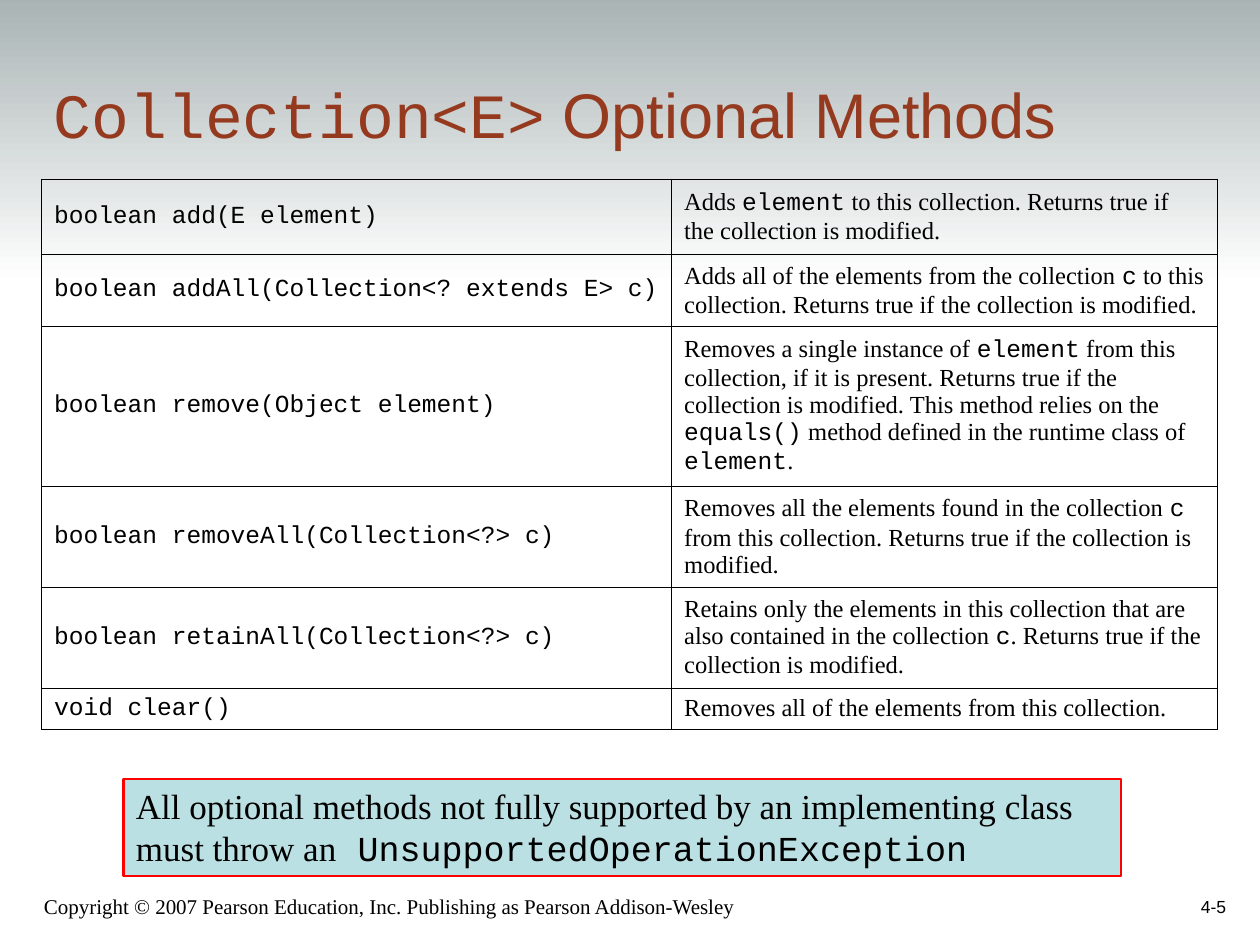
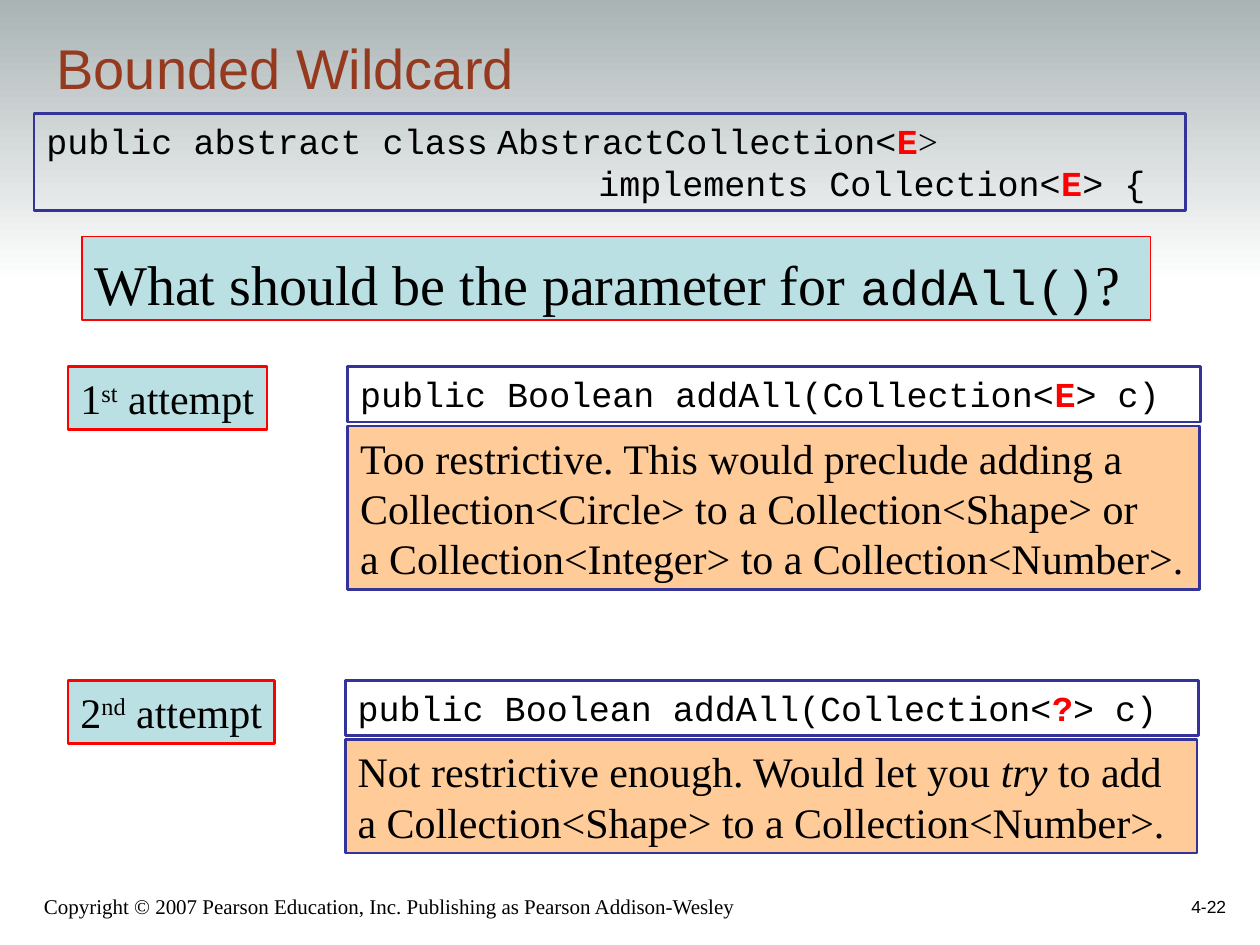
"""Build two slides on optional collection methods and bounded wildcards."""
from dataclasses import dataclass
from typing import NamedTuple, Optional

from lxml.etree import SubElement
from pptx import Presentation
from pptx.dml.color import RGBColor
from pptx.enum.shapes import MSO_SHAPE
from pptx.enum.text import MSO_ANCHOR, MSO_AUTO_SIZE, PP_ALIGN
from pptx.oxml.ns import qn
from pptx.slide import Slide
from pptx.table import _Cell
from pptx.text.text import TextFrame, _Paragraph
from pptx.util import Inches, Pt

COLORS = {
    "black": "000000",
    "white": "FFFFFF",
    "band": "A7B1B2",
    "title": "953A1F",
    "red": "FF0000",
    "navy": "333399",
    "aqua": "BBE0E3",
    "peach": "FFCC99",
}
SERIF, SANS, MONO = "Times New Roman", "Arial", "Courier New"
COPYRIGHT = "Copyright © 2007 Pearson Education, Inc. Publishing as Pearson Addison-Wesley"


class Span(NamedTuple):
    text: str
    font: Optional[str] = None
    size: Optional[float] = None
    color: Optional[str] = None
    bold: Optional[bool] = None
    italic: Optional[bool] = None
    raised: bool = False


class Line(NamedTuple):
    spans: list[Span]
    indent: float = 0


@dataclass
class Box:
    left: float
    top: float
    width: float
    height: float
    lines: list[Line]
    font: str
    size: float
    color: str = "black"
    fill: Optional[str] = None
    border: Optional[str] = None
    border_width: float = 1.5
    anchor: MSO_ANCHOR = MSO_ANCHOR.TOP
    align: PP_ALIGN = PP_ALIGN.LEFT
    wrap: bool = True
    grow: bool = False
    inset_top: float = 0.05
    inset_right: float = 0.1


class Method(NamedTuple):
    signature: str
    description: list[Span]
    height: float


class Attempt(NamedTuple):
    number: str
    ordinal: str
    label_width: float
    left: float
    top: float
    type_argument: str
    verdict: list[Line]
    verdict_height: float


def rgb(name: str) -> RGBColor:
    return RGBColor.from_string(COLORS[name])


def line(*texts: str) -> Line:
    return Line([Span(text) for text in texts])


def prose_and_code(*texts: str) -> list[Span]:
    return [Span(text, (SERIF, MONO)[index % 2]) for index, text in enumerate(texts)]


def write_line(para: _Paragraph, content: Line, font: str, size: float, color: str,
               align: PP_ALIGN = PP_ALIGN.LEFT) -> None:
    para.alignment = align
    if content.indent:
        para._p.get_or_add_pPr().set("marL", str(Inches(content.indent)))
    para.font.name = font
    para.font.size = Pt(size)
    para.font.color.rgb = rgb(color)
    for part in content.spans:
        span = para.add_run()
        span.text = part.text
        if part.font:
            span.font.name = part.font
        if part.size:
            span.font.size = Pt(part.size)
        if part.color:
            span.font.color.rgb = rgb(part.color)
        if part.bold:
            span.font.bold = True
        if part.italic:
            span.font.italic = True
        if part.raised:
            span._r.get_or_add_rPr().set("baseline", "30000")


def write_lines(frame: TextFrame, box: Box) -> None:
    for index, content in enumerate(box.lines):
        para = frame.add_paragraph() if index else frame.paragraphs[0]
        write_line(para, content, box.font, box.size, box.color, box.align)


def draw_box(page: Slide, box: Box) -> None:
    place = [Inches(side) for side in (box.left, box.top, box.width, box.height)]
    if box.border:
        shape = page.shapes.add_shape(MSO_SHAPE.RECTANGLE, *place)
        shape.shadow.inherit = False
        shape.line.color.rgb = rgb(box.border)
        shape.line.width = Pt(box.border_width)
        if box.fill:
            shape.fill.solid()
            shape.fill.fore_color.rgb = rgb(box.fill)
        else:
            shape.fill.background()
    else:
        shape = page.shapes.add_textbox(*place)
    frame = shape.text_frame
    frame.word_wrap = box.wrap
    frame.auto_size = MSO_AUTO_SIZE.SHAPE_TO_FIT_TEXT if box.grow else MSO_AUTO_SIZE.NONE
    frame.vertical_anchor = box.anchor
    frame.margin_left = Inches(0.1)
    frame.margin_right = Inches(box.inset_right)
    frame.margin_top = Inches(box.inset_top)
    frame.margin_bottom = Inches(0.05)
    write_lines(frame, box)


def draw_frame(page: Slide, number: str, title: Box) -> None:
    band = page.shapes.add_shape(MSO_SHAPE.RECTANGLE, 0, Inches(-0.08), Inches(10), Inches(2.33))
    band.shadow.inherit = False
    band.line.fill.background()
    band.fill.gradient()
    band.fill.gradient_angle = 270
    for stop, color in zip(band.fill.gradient_stops, ("band", "white")):
        stop.color.rgb = rgb(color)
    bottom = MSO_ANCHOR.BOTTOM
    draw_box(page, Box(0.25, 6.92, 6.08, 0.42, [line(COPYRIGHT)], SERIF, 12, anchor=bottom))
    draw_box(page, Box(7.75, 6.83, 2.08, 0.5, [line(number)], SANS, 10,
                       anchor=bottom, align=PP_ALIGN.RIGHT))
    draw_box(page, title)


def outline_cell(cell: _Cell) -> None:
    properties = cell._tc.get_or_add_tcPr()
    for side in ("a:lnL", "a:lnR", "a:lnT", "a:lnB"):
        edge = SubElement(properties, qn(side), w=str(Pt(0.45)))
        paint = SubElement(edge, qn("a:solidFill"))
        SubElement(paint, qn("a:srgbClr"), val=COLORS["black"])
    cell.fill.background()


def draw_methods(page: Slide, methods: list[Method]) -> None:
    height = sum(method.height for method in methods)
    table = page.shapes.add_table(len(methods), 2, Inches(0.33), Inches(1.42),
                                  Inches(9.33), Inches(height)).table
    table.first_row = table.horz_banding = False
    for column, width in zip(table.columns, (5, 4.33)):
        column.width = Inches(width)
    for row, method in zip(table.rows, methods):
        row.height = Inches(method.height)
        contents = (line(method.signature), Line(method.description))
        for cell, content, font in zip(row.cells, contents, (MONO, SERIF)):
            cell.vertical_anchor = MSO_ANCHOR.MIDDLE
            write_line(cell.text_frame.paragraphs[0], content, font, 14, "black")
            outline_cell(cell)


def draw_attempt(page: Slide, attempt: Attempt) -> None:
    left, top = attempt.left, attempt.top
    code = Line([Span("public Boolean addAll(Collection<"),
                 Span(attempt.type_argument, color="red", bold=True), Span("> c)")])
    label = Line([Span(attempt.number), Span(attempt.ordinal, raised=True), Span(" attempt")])
    draw_box(page, Box(left, top + 0.47, 6.76, attempt.verdict_height, attempt.verdict, SERIF, 24,
                       fill="peach", border="navy", anchor=MSO_ANCHOR.MIDDLE, grow=True))
    draw_box(page, Box(left, top, 6.77, 0.44, [code], MONO, 20, border="navy", grow=True))
    draw_box(page, Box(0.54, top, attempt.label_width, 0.5, [label], SERIF, 24,
                       fill="aqua", border="red", wrap=False, grow=True))


METHODS = [
    Method("boolean add(E element)", prose_and_code(
        "Adds ", "element",
        " to this collection. Returns true if the collection is modified."), 0.6),
    Method("boolean addAll(Collection<? extends E> c)", prose_and_code(
        "Adds all of the elements from the collection ", "c",
        " to this collection. Returns true if the collection is modified."), 0.57),
    Method("boolean remove(Object element)", prose_and_code(
        "Removes a single instance of ", "element",
        " from this collection, if it is present. Returns true if the collection is modified."
        " This method relies on the ", "equals()",
        " method defined in the runtime class of ", "element", "."), 1.27),
    Method("boolean removeAll(Collection<?> c)", prose_and_code(
        "Removes all the elements found in the collection ", "c",
        " from this collection. Returns true if the collection is modified."), 0.8),
    Method("boolean retainAll(Collection<?> c)", prose_and_code(
        "Retains only the elements in this collection that are also contained in the collection ",
        "c", ". Returns true if the collection is modified."), 0.8),
    Method("void clear()", prose_and_code("Removes all of the elements from this collection."), 0.33),
]

ATTEMPTS = [
    Attempt("1", "st", 1.58, 2.76, 2.91, "E", [
        line("Too restrictive. This would preclude adding a"),
        line("Collection<Circle> to a Collection<Shape> or"),
        line("a Collection<Integer> to a Collection<Number>."),
    ], 1.3),
    Attempt("2", "nd", 1.64, 2.74, 5.4, "?", [
        Line([Span("Not restrictive enough. Would let you "), Span("try", italic=True),
              Span(" to add a Collection<Shape> to a Collection<Number>.")]),
    ], 0.9),
]


def build_optional_methods(page: Slide) -> None:
    heading = Line([Span("Collection<E>", MONO), Span(" Optional Methods", SANS)])
    draw_frame(page, "4-5", Box(0.33, 0.33, 8.47, 0.92, [heading], SANS, 36, "title",
                                anchor=MSO_ANCHOR.BOTTOM))
    draw_methods(page, METHODS)
    rule = Line(prose_and_code(
        "All optional methods not fully supported by an implementing class must throw an",
        " UnsupportedOperationException"))
    draw_box(page, Box(0.98, 6.18, 7.92, 0.77, [rule], SERIF, 20,
                       fill="aqua", border="red", border_width=1.25, grow=True))


def build_bounded_wildcard(page: Slide) -> None:
    draw_frame(page, "4-22", Box(0.35, 0.19, 8.47, 0.66, [line("Bounded Wildcard")], SANS, 32,
                                 "title", anchor=MSO_ANCHOR.BOTTOM))
    question = Line([Span("What should be the parameter for ", SERIF),
                     Span("addAll()", MONO, size=28), Span("?", SERIF)])
    draw_box(page, Box(0.65, 1.88, 8.48, 0.66, [question], SERIF, 32, fill="aqua", border="red",
                       border_width=0.75, inset_top=0.1, inset_right=0))
    element = Span("E", MONO, color="red", bold=True)
    declaration = [
        Line([Span("public abstract class", MONO), Span(" ", SERIF),
              Span("AbstractCollection<", MONO), element, Span(">", SERIF)]),
        Line([Span("implements Collection<", MONO), element, Span("> {", MONO)], indent=4.38),
    ]
    draw_box(page, Box(0.27, 0.9, 9.14, 0.77, declaration, MONO, 20, border="navy", grow=True))
    for attempt in ATTEMPTS:
        draw_attempt(page, attempt)


def main() -> None:
    deck = Presentation()
    deck.slide_width, deck.slide_height = Inches(10), Inches(7.5)
    for build in (build_optional_methods, build_bounded_wildcard):
        build(deck.slides.add_slide(deck.slide_layouts[6]))
    deck.save("out.pptx")


if __name__ == "__main__":
    main()
